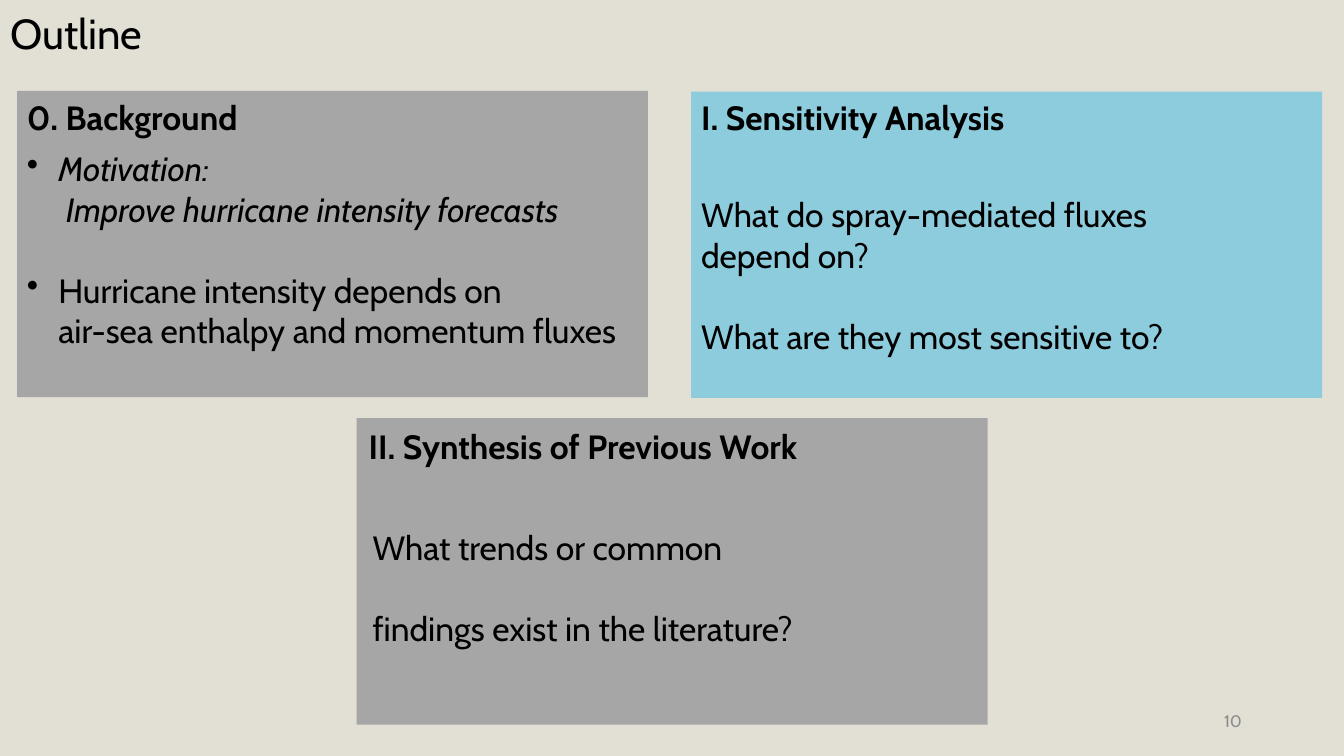
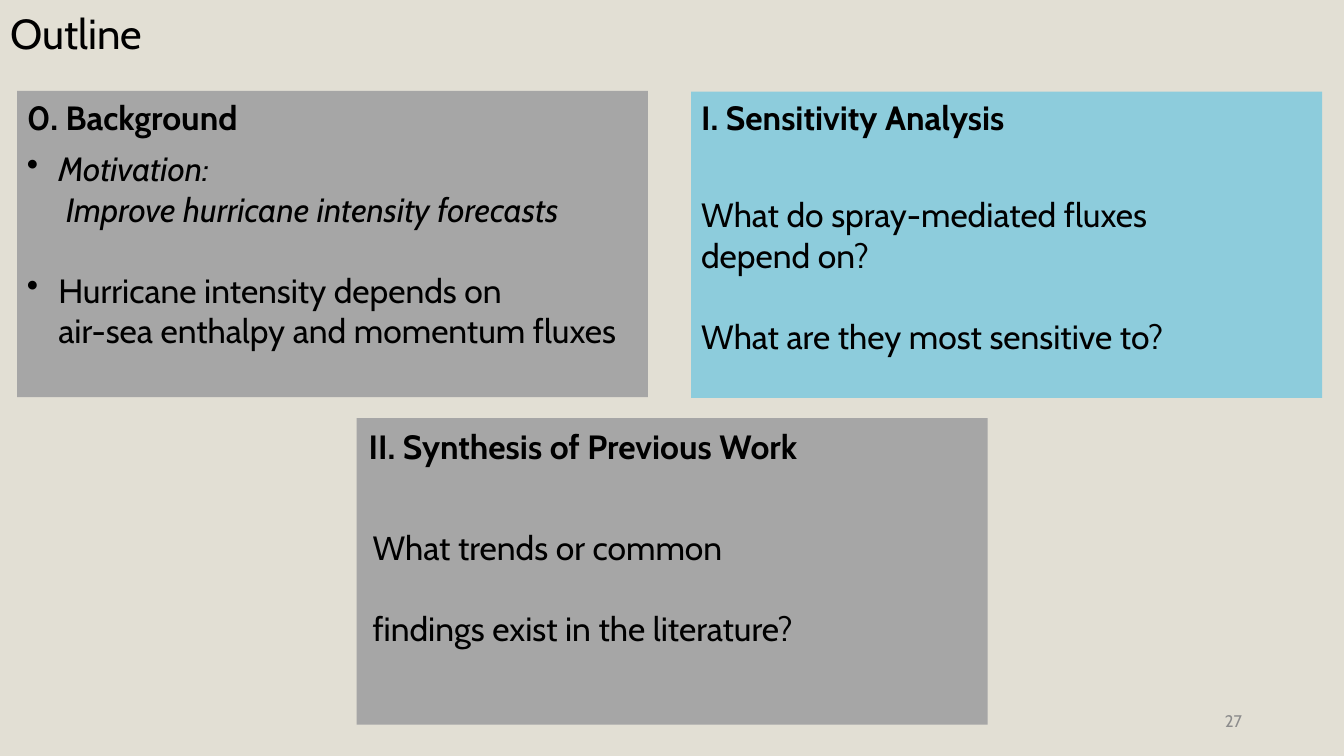
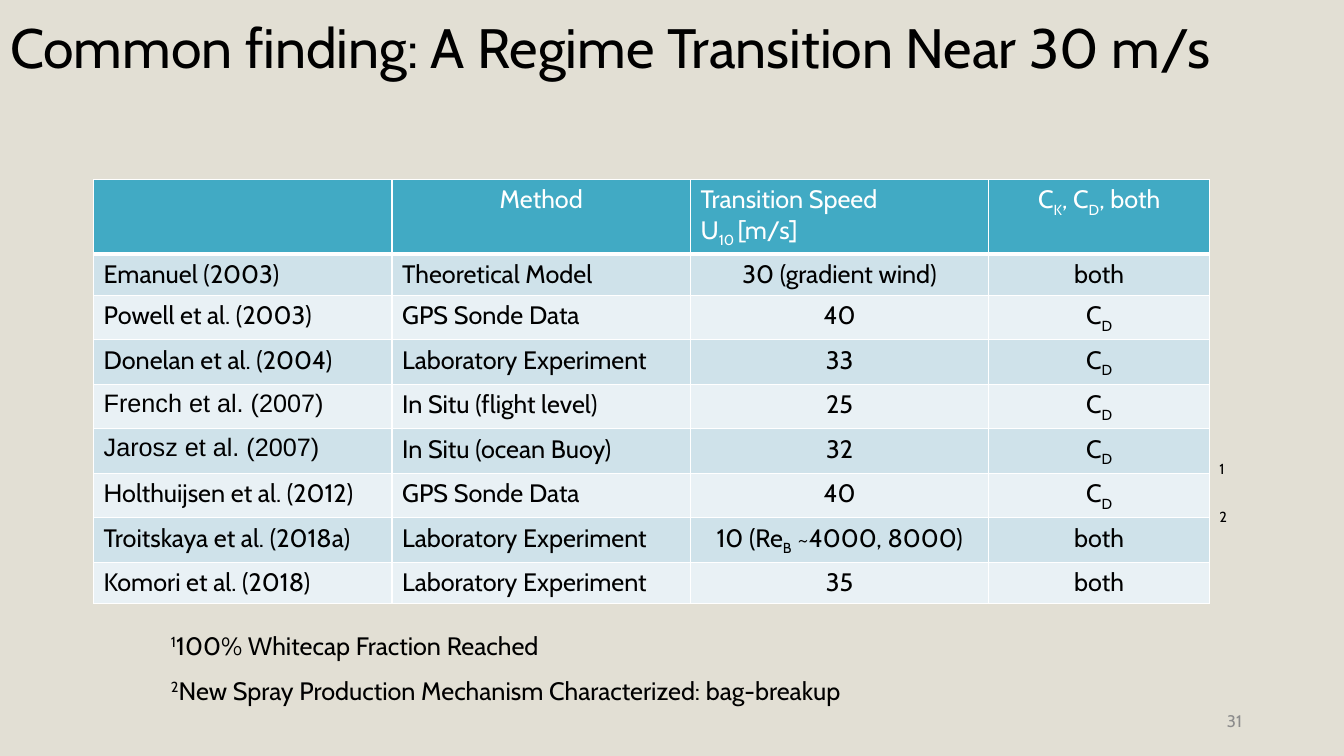
import pptx
import pptx.util
import pptx.dml.color
import pptx.enum.shapes
import pptx.enum.text
import pptx.oxml
import pptx.oxml.ns

Cm = pptx.util.Cm
Pt = pptx.util.Pt
ALIGN = pptx.enum.text.PP_ALIGN
ANCHOR = pptx.enum.text.MSO_ANCHOR

COLORS = {
    "background": "E2DFD4",
    "text": "000000",
    "number": "8C8C8C",
    "muted": "A6A6A6",
    "active": "8DCCDC",
    "header": "41AAC4",
    "band_dark": "CFE2EA",
    "band_light": "E9F1F5",
    "white": "FFFFFF",
}
FONT = "Cabin"
SUBSCRIPT, SUPERSCRIPT = -25000, 30000

PANEL_SIZE = (15.9, 7.72)
PANELS = [
    {
        "at": (0.43, 2.29), "fill": "muted",
        "heading": "0. Background", "heading_offset": (0, 0.03),
        "body_offset": (0, 1.32), "body_size": (16.99, 5.38), "bullets": True,
        "body": [
            ("Motivation:\n Improve hurricane intensity forecasts", True),
            ("Hurricane intensity depends on\nair-sea enthalpy and momentum fluxes", False),
        ],
    },
    {
        "at": (17.42, 2.31), "fill": "active",
        "heading": "I. Sensitivity Analysis", "heading_offset": (0, 0),
        "body_offset": (0, 2.46), "body_size": (13.34, 4.37), "bullets": False,
        "body": [
            ("What do spray-mediated fluxes depend on?", False),
            ("What are they most sensitive to?", False),
        ],
    },
    {
        "at": (8.99, 10.54), "fill": "muted",
        "heading": "II. Synthesis of Previous Work", "heading_offset": (0.05, 0.08),
        "body_offset": (0.15, 2.62), "body_size": (13.34, 3.33), "bullets": False,
        "body": [
            ("What trends or common", False),
            ("findings exist in the literature?", False),
        ],
    },
]
OUTLINE_NUMBERS = ["10", "27"]

FINDING_TITLE = "Common finding: A Regime Transition Near 30 m/s"
FINDING_NUMBER = "31"
HEADER = ["", "Method", "Transition Speed\nU{10 }[m/s]", "C{K}, C{D}, both"]
HEADER_ALIGN = [ALIGN.LEFT, ALIGN.CENTER, ALIGN.LEFT, ALIGN.CENTER]
STUDY_ALIGN = [ALIGN.LEFT, ALIGN.LEFT, ALIGN.CENTER, ALIGN.CENTER]
STUDIES = [
    ["Emanuel (2003)", "Theoretical Model", "30 (gradient wind)", "both"],
    ["Powell et al. (2003)", "GPS Sonde Data", "40", "C{D}"],
    ["Donelan et al. (2004)", "Laboratory Experiment", "33", "C{D}"],
    ["French et al. (2007)", "In Situ (flight level)", "25", "C{D}"],
    ["Jarosz et al. (2007)", "In Situ (ocean Buoy)", "32", "C{D}"],
    ["Holthuijsen et al. (2012)", "GPS Sonde Data", "40", "C{D}"],
    ["Troitskaya et al. (2018a)", "Laboratory Experiment", "10 (Re{B} ~4000, 8000)", "both"],
    ["Komori et al. (2018)", "Laboratory Experiment", "35", "both"],
]
ARIAL_STUDIES = {"French et al. (2007)", "Jarosz et al. (2007)"}
COLUMN_WIDTHS = [7.52, 7.52, 7.52, 5.56]
ROW_HEIGHT = 1.04
NOTES = [
    ("{2}New Spray Production Mechanism Characterized: bag-breakup", (4.06, 16.89, 18.36, 1.02)),
    ("{1}100% Whitecap Fraction Reached", (4.06, 15.75, 10.31, 1.02)),
    ("{2}", (30.48, 12.6, 0.74, 1.02)),
    ("{1}", (30.48, 11.4, 0.74, 1.02)),
]


def rgb(color):
    return pptx.dml.color.RGBColor.from_string(COLORS[color])


def write(paragraph, text, size, color="text", shift=SUBSCRIPT, **styles):
    formats = {"size": Pt(size), "name": FONT, "bold": False, "italic": False, **styles}
    for line_index, line in enumerate(text.split("\n")):
        if line_index:
            paragraph.add_line_break()
        for piece_index, piece in enumerate(line.replace("}", "{").split("{")):
            if not piece:
                continue
            run = paragraph.add_run()
            run.text = piece
            for attribute, value in formats.items():
                setattr(run.font, attribute, value)
            run.font.color.rgb = rgb(color)
            if piece_index % 2:
                run.font._element.set("baseline", str(shift))


def add_bullet(paragraph):
    properties = paragraph._p.get_or_add_pPr()
    indent = Cm(0.79)
    properties.set("marL", str(indent))
    properties.set("indent", str(-indent))
    bullet = pptx.oxml.parse_xml(f'<a:buChar {pptx.oxml.ns.nsdecls("a")} char="•"/>')
    properties.append(bullet)


def add_text(shapes, box, anchor=ANCHOR.TOP):
    frame = shapes.add_textbox(*map(Cm, box)).text_frame
    frame.word_wrap = True
    frame.vertical_anchor = anchor
    return frame


def add_slide(deck, title, title_size, title_height, number):
    slide = deck.slides.add_slide(deck.slide_layouts[5])
    heading = slide.shapes.title
    place = {"left": 0, "top": 0, "width": deck.slide_width, "height": Cm(title_height)}
    for attribute, value in place.items():
        setattr(heading, attribute, value)
    heading.text_frame.auto_size = pptx.enum.text.MSO_AUTO_SIZE.NONE
    heading.text_frame.vertical_anchor = ANCHOR.MIDDLE
    paragraph = heading.text_frame.paragraphs[0]
    paragraph.alignment = ALIGN.LEFT
    paragraph.line_spacing = 0.9
    write(paragraph, title, title_size)
    page = add_text(slide.shapes, (23.93, 17.65, 7.62, 1.02), ANCHOR.MIDDLE).paragraphs[0]
    page.alignment = ALIGN.RIGHT
    write(page, number, 12, "number")
    return slide


def add_panel(slide, panel):
    left, top = panel["at"]
    width, height = PANEL_SIZE
    group = slide.shapes.add_group_shape().shapes
    back = group.add_shape(pptx.enum.shapes.MSO_SHAPE.RECTANGLE, *map(Cm, (left, top, width, height)))
    back.shadow.inherit = False
    back.fill.solid()
    back.fill.fore_color.rgb = rgb(panel["fill"])
    back.line.fill.background()

    dx, dy = panel["heading_offset"]
    heading = add_text(group, (left + dx, top + dy, width - dx, 1.27))
    write(heading.paragraphs[0], panel["heading"], 24, bold=True)

    dx, dy = panel["body_offset"]
    body = add_text(group, (left + dx, top + dy, *panel["body_size"]))
    for index, (text, italic) in enumerate(panel["body"]):
        paragraph = body.add_paragraph() if index else body.paragraphs[0]
        if index:
            paragraph.space_before = Pt(29)
        if panel["bullets"]:
            add_bullet(paragraph)
        write(paragraph, text, 24, italic=italic)


def style_cell(cell, fill, bottom_width):
    properties = cell._tc.get_or_add_tcPr()
    for side, width in (("L", 1), ("R", 1), ("T", 1), ("B", bottom_width)):
        properties.append(pptx.oxml.parse_xml(
            f'<a:ln{side} {pptx.oxml.ns.nsdecls("a")} w="{Pt(width)}"><a:solidFill>'
            f'<a:srgbClr val="{COLORS["white"]}"/></a:solidFill></a:ln{side}>'))
    cell.fill.solid()
    cell.fill.fore_color.rgb = rgb(fill)


def add_studies(slide):
    rows = [HEADER, *STUDIES]
    box = (2.36, 4.52, sum(COLUMN_WIDTHS), ROW_HEIGHT * len(rows))
    table = slide.shapes.add_table(len(rows), len(HEADER), *map(Cm, box)).table
    table.horz_banding = False
    for column, width in zip(table.columns, COLUMN_WIDTHS):
        column.width = Cm(width)
    for row_index, row in enumerate(rows):
        table.rows[row_index].height = Cm(ROW_HEIGHT)
        is_header = row_index == 0
        fill = "header" if is_header else ("band_light", "band_dark")[row_index % 2]
        alignments = HEADER_ALIGN if is_header else STUDY_ALIGN
        for column_index, text in enumerate(row):
            cell = table.cell(row_index, column_index)
            style_cell(cell, fill, 3 if is_header else 1)
            for line_index, line in enumerate(text.split("\n")):
                frame = cell.text_frame
                paragraph = frame.add_paragraph() if line_index else frame.paragraphs[0]
                paragraph.alignment = alignments[column_index]
                write(paragraph, line, 18, "white" if is_header else "text",
                      name="Arial" if text in ARIAL_STUDIES else FONT)


def main():
    deck = pptx.Presentation()
    deck.slide_width, deck.slide_height = Cm(33.87), Cm(19.05)
    background = deck.slide_master.background.fill
    background.solid()
    background.fore_color.rgb = rgb("background")

    for number in OUTLINE_NUMBERS:
        outline = add_slide(deck, "Outline", 30, 1.8, number)
        for panel in PANELS:
            add_panel(outline, panel)

    finding = add_slide(deck, FINDING_TITLE, 39.6, 2.57, FINDING_NUMBER)
    add_studies(finding)
    for text, box in NOTES:
        write(add_text(finding.shapes, box).paragraphs[0], text, 18, shift=SUPERSCRIPT)

    deck.save("out.pptx")


if __name__ == "__main__":
    main()
